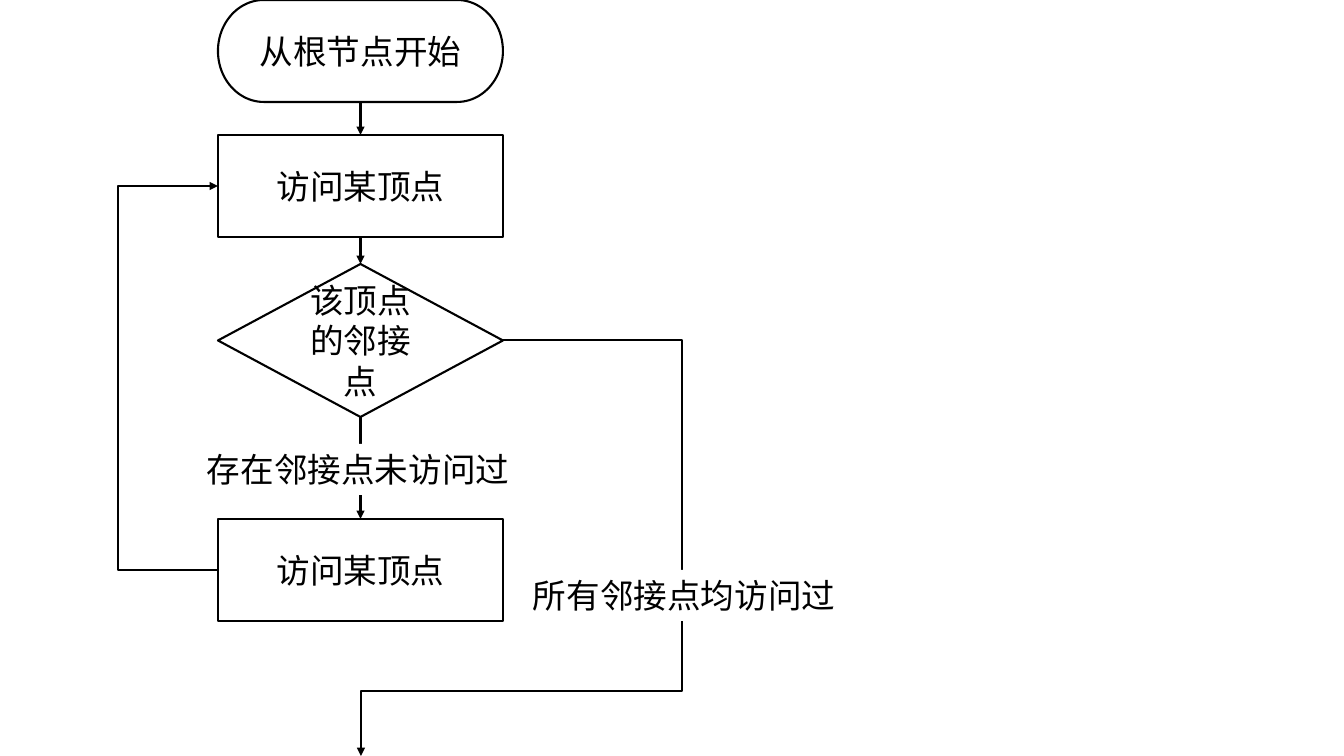
"""Flowchart of a graph traversal, starting from the root node."""
from dataclasses import dataclass
from typing import Any

import pptx
import pptx.dml.color
import pptx.enum.shapes
import pptx.enum.text
import pptx.oxml
import pptx.oxml.ns
import pptx.util

BLACK = pptx.dml.color.RGBColor(0x00, 0x00, 0x00)
WHITE = pptx.dml.color.RGBColor(0xFF, 0xFF, 0xFF)
FONT = "Noto Sans CJK SC"
SCALE = 914400 / 100.8
PAGE_WIDTH, PAGE_HEIGHT = 1344, 756

KIND = pptx.enum.shapes.MSO_SHAPE
CONNECTOR = pptx.enum.shapes.MSO_CONNECTOR
ALIGN = pptx.enum.text.PP_ALIGN
ANCHOR = pptx.enum.text.MSO_ANCHOR
AUTO_SIZE = pptx.enum.text.MSO_AUTO_SIZE

STEP_LEFT, STEP_WIDTH, STEP_HEIGHT = 218, 285, 102
STEP_RIGHT = STEP_LEFT + STEP_WIDTH
STEP_CENTER = 361
LABEL_HEIGHT = 51
TOP, BOTTOM = 0, 2  # connection sites

TEXT_FORMAT = {"size": pptx.util.Pt(24), "name": FONT}
STEP_FRAME = {"word_wrap": True, "vertical_anchor": ANCHOR.MIDDLE}
LABEL_FRAME = {"word_wrap": False, "vertical_anchor": ANCHOR.TOP,
               "auto_size": AUTO_SIZE.SHAPE_TO_FIT_TEXT}


@dataclass(frozen=True)
class Step:
    """A node of the flowchart."""
    text: str
    kind: Any
    top: int
    height: int = STEP_HEIGHT


@dataclass(frozen=True)
class Label:
    """A condition written over a line."""
    text: str
    left: int
    top: int
    width: int


@dataclass(frozen=True)
class Bend:
    """An elbow arrow: its ends, preset and the place of its corners."""
    start: tuple[int, int]
    end: tuple[int, int]
    preset: str
    corner_x: int
    corner_y: int | None = None


STEPS = [
    Step("从根节点开始", KIND.FLOWCHART_TERMINATOR, 0),
    Step("访问某顶点", KIND.FLOWCHART_PROCESS, 135),
    Step("该顶点的邻接点", KIND.FLOWCHART_DECISION, 264, 153),
    Step("访问某顶点", KIND.FLOWCHART_PROCESS, 519),
]
BENDS = [
    Bend((STEP_LEFT + 1, 570), (STEP_LEFT, 186), "bentConnector3", 117),
    Bend((STEP_RIGHT, 340), (STEP_CENTER, PAGE_HEIGHT), "bentConnector4", 682, 691),
]
LABELS = [
    Label("存在邻接点未访问过", 197, 444, 326),
    Label("所有邻接点均访问过", 523, 570, 337),
]


def emu(pixels: float) -> pptx.util.Emu:
    """Turn pixels into EMU."""
    return pptx.util.Emu(round(pixels * SCALE))


def apply_format(target: Any, values: dict[str, Any]) -> None:
    """Set each named attribute on the target."""
    for name, value in values.items():
        setattr(target, name, value)


def draw_line(line: Any) -> None:
    """Give a line its colour and width."""
    line.color.rgb = BLACK
    line.width = pptx.util.Pt(1.5)


def write_text(shape: Any, text: str, frame_format: dict[str, Any], align: Any) -> None:
    """Write one paragraph into a shape."""
    apply_format(shape.text_frame, frame_format)
    para = shape.text_frame.paragraphs[0]
    para.alignment = align
    span = para.add_run()
    span.text = text
    apply_format(span.font, TEXT_FORMAT)
    span.font.color.rgb = BLACK
    east_asian = pptx.oxml.parse_xml(
        f'<a:ea {pptx.oxml.ns.nsdecls("a")} typeface="{FONT}"/>')
    span.font._element.find(pptx.oxml.ns.qn("a:latin")).addnext(east_asian)


def add_step(page: Any, step: Step) -> Any:
    """Draw a node and return its shape."""
    shape = page.shapes.add_shape(step.kind, emu(STEP_LEFT), emu(step.top),
                                  emu(STEP_WIDTH), emu(step.height))
    shape.shadow.inherit = False
    shape.fill.background()
    draw_line(shape.line)
    write_text(shape, step.text, STEP_FRAME, ALIGN.CENTER)
    return shape


def add_label(page: Any, label: Label) -> None:
    """Draw a condition on a white ground."""
    box = page.shapes.add_textbox(emu(label.left), emu(label.top),
                                  emu(label.width), emu(LABEL_HEIGHT))
    box.fill.solid()
    box.fill.fore_color.rgb = WHITE
    write_text(box, label.text, LABEL_FRAME, ALIGN.LEFT)


def add_arrow(page: Any, kind: Any, start: tuple[int, int], end: tuple[int, int]) -> Any:
    """Draw a connector with an arrowhead at its end."""
    arrow = page.shapes.add_connector(kind, *map(emu, start + end))
    draw_line(arrow.line)
    namespace = pptx.oxml.ns.nsdecls("a")
    arrow.line._get_or_add_ln().append(
        pptx.oxml.parse_xml(f'<a:tailEnd {namespace} type="triangle"/>'))
    arrow._element.spPr.append(pptx.oxml.parse_xml(f"<a:effectLst {namespace}/>"))
    return arrow


def add_bend(page: Any, bend: Bend) -> None:
    """Draw an elbow arrow with its corners set by adjustments."""
    arrow = add_arrow(page, CONNECTOR.ELBOW, bend.start, bend.end)
    properties = arrow._element.spPr
    frame = properties.find(pptx.oxml.ns.qn("a:xfrm"))
    if frame.get("flipH") and frame.get("flipV"):
        del frame.attrib["flipH"], frame.attrib["flipV"]
        frame.set("rot", "10800000")
    geometry = properties.find(pptx.oxml.ns.qn("a:prstGeom"))
    geometry.set("prst", bend.preset)
    guides = geometry.get_or_add_avLst()
    corners = (bend.corner_x, bend.corner_y)
    for number, (corner, start, end) in enumerate(zip(corners, bend.start, bend.end), 1):
        if corner is not None:
            share = round((corner - start) / (end - start) * 100000)
            guides.append(pptx.oxml.parse_xml(
                f'<a:gd {pptx.oxml.ns.nsdecls("a")} name="adj{number}" fmla="val {share}"/>'))


def main() -> None:
    """Build the slide and save it."""
    deck = pptx.Presentation()
    apply_format(deck, {"slide_width": emu(PAGE_WIDTH), "slide_height": emu(PAGE_HEIGHT)})
    page = deck.slides.add_slide(deck.slide_layouts[6])
    shapes = [add_step(page, step) for step in STEPS]
    for bend in BENDS:
        add_bend(page, bend)
    for index, (upper, lower) in enumerate(zip(STEPS, STEPS[1:])):
        arrow = add_arrow(page, CONNECTOR.STRAIGHT,
                          (STEP_CENTER, upper.top + upper.height), (STEP_CENTER, lower.top))
        arrow.begin_connect(shapes[index], BOTTOM)
        arrow.end_connect(shapes[index + 1], TOP)
    for label in LABELS:
        add_label(page, label)
    deck.save("out.pptx")


main()
